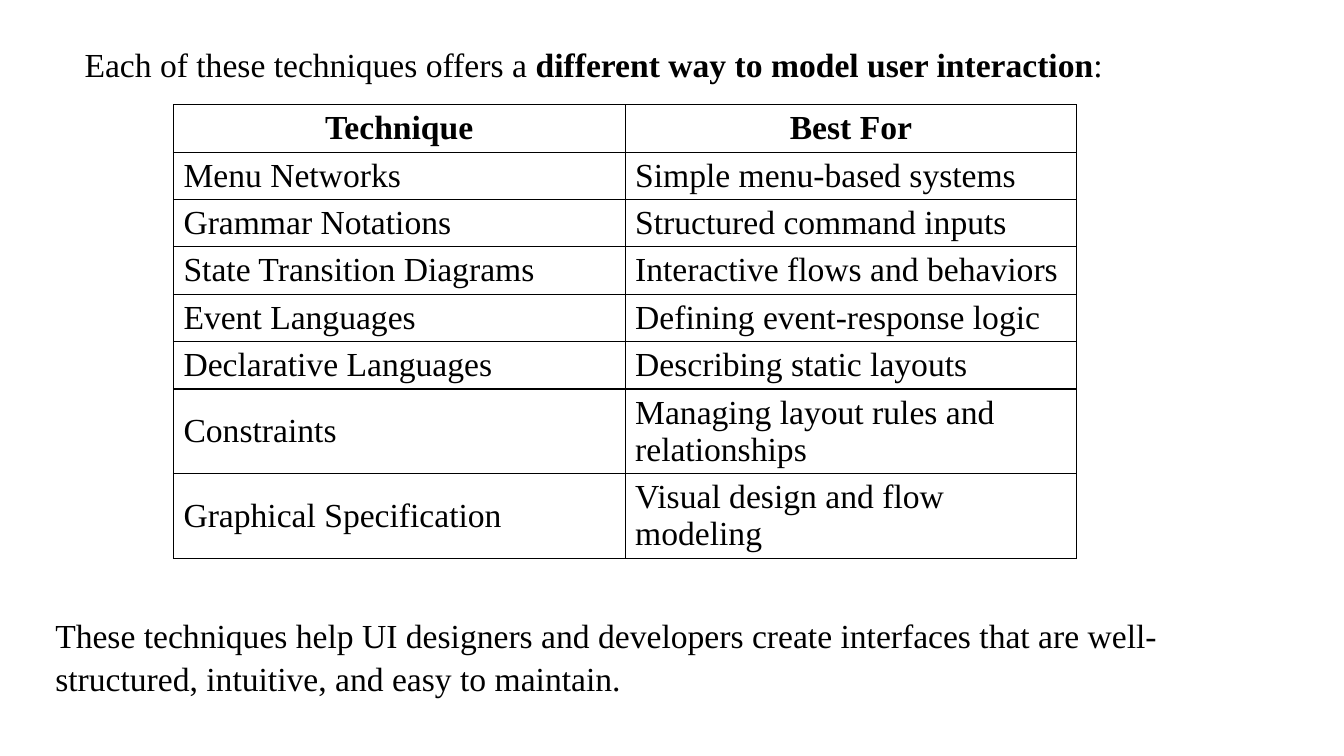
"""Build a slide that matches user interaction techniques to their best uses."""
from lxml import etree
from pptx import Presentation
from pptx.dml.color import RGBColor
from pptx.enum.text import MSO_ANCHOR, PP_ALIGN
from pptx.oxml.ns import qn
from pptx.util import Inches, Pt

CENTER, LEFT = PP_ALIGN.CENTER, PP_ALIGN.LEFT
TOP, MIDDLE = MSO_ANCHOR.TOP, MSO_ANCHOR.MIDDLE
COLORS = {"text": "000000", "border": "000000", "background": "FFFFFF"}
FONT = "Times New Roman"
ROW_HEIGHT, TALL_ROW_HEIGHT = 0.47, 0.84

ROWS = [
    ("Technique", "Best For"),
    ("Menu Networks", "Simple menu-based systems"),
    ("Grammar Notations", "Structured command inputs"),
    ("State Transition Diagrams", "Interactive flows and behaviors"),
    ("Event Languages", "Defining event-response logic"),
    ("Declarative Languages", "Describing static layouts"),
    ("Constraints", "Managing layout rules and relationships"),
    ("Graphical Specification", "Visual design and flow modeling"),
]
TALL_ROWS = ("Constraints", "Graphical Specification")
TEXTS = [
    ((0.74, 0.36, 10.39, 0.81), [
        ("Each of these techniques offers a ", False),
        ("different way to model user interaction", True),
        (":", False),
    ]),
    ((0.45, 6.02, 12.4, 0.91), [
        ("These techniques help UI designers and developers create interfaces "
         "that are well-structured, intuitive, and easy to maintain.", False),
    ]),
]


def add_run(p, text, bold):
    r = p.add_run()
    r.text = text
    r.font.name = FONT
    r.font.size = Pt(24)
    r.font.bold = bold
    r.font.color.rgb = RGBColor.from_string(COLORS["text"])


def add_borders(cell):
    tcPr = cell._tc.get_or_add_tcPr()
    for i, side in enumerate(("a:lnL", "a:lnR", "a:lnT", "a:lnB")):
        ln = etree.Element(qn(side), w=str(Pt(1)))
        fill = etree.SubElement(ln, qn("a:solidFill"))
        etree.SubElement(fill, qn("a:srgbClr"), val=COLORS["border"])
        tcPr.insert(i, ln)


prs = Presentation()
prs.slide_width, prs.slide_height = Inches(13.33), Inches(7.5)
slide = prs.slides.add_slide(prs.slide_layouts[6])
slide.background.fill.solid()
slide.background.fill.fore_color.rgb = RGBColor.from_string(COLORS["background"])

heights = [TALL_ROW_HEIGHT if row[0] in TALL_ROWS else ROW_HEIGHT for row in ROWS]
table = slide.shapes.add_table(
    len(ROWS), 2, Inches(1.72), Inches(1.04), Inches(8.96), Inches(sum(heights))
).table
table.first_row = False
table.horz_banding = False

for i, row in enumerate(ROWS):
    table.rows[i].height = Inches(heights[i])
    for j, text in enumerate(row):
        cell = table.cell(i, j)
        cell.vertical_anchor = MIDDLE
        cell.fill.background()
        add_borders(cell)
        p = cell.text_frame.paragraphs[0]
        p.alignment = CENTER if i == 0 else LEFT
        add_run(p, text, i == 0)

for box, runs in TEXTS:
    tf = slide.shapes.add_textbox(*map(Inches, box)).text_frame
    tf.word_wrap = True
    tf.vertical_anchor = TOP
    p = tf.paragraphs[0]
    p.line_spacing = 1.07
    for text, bold in runs:
        add_run(p, text, bold)

prs.save("out.pptx")
